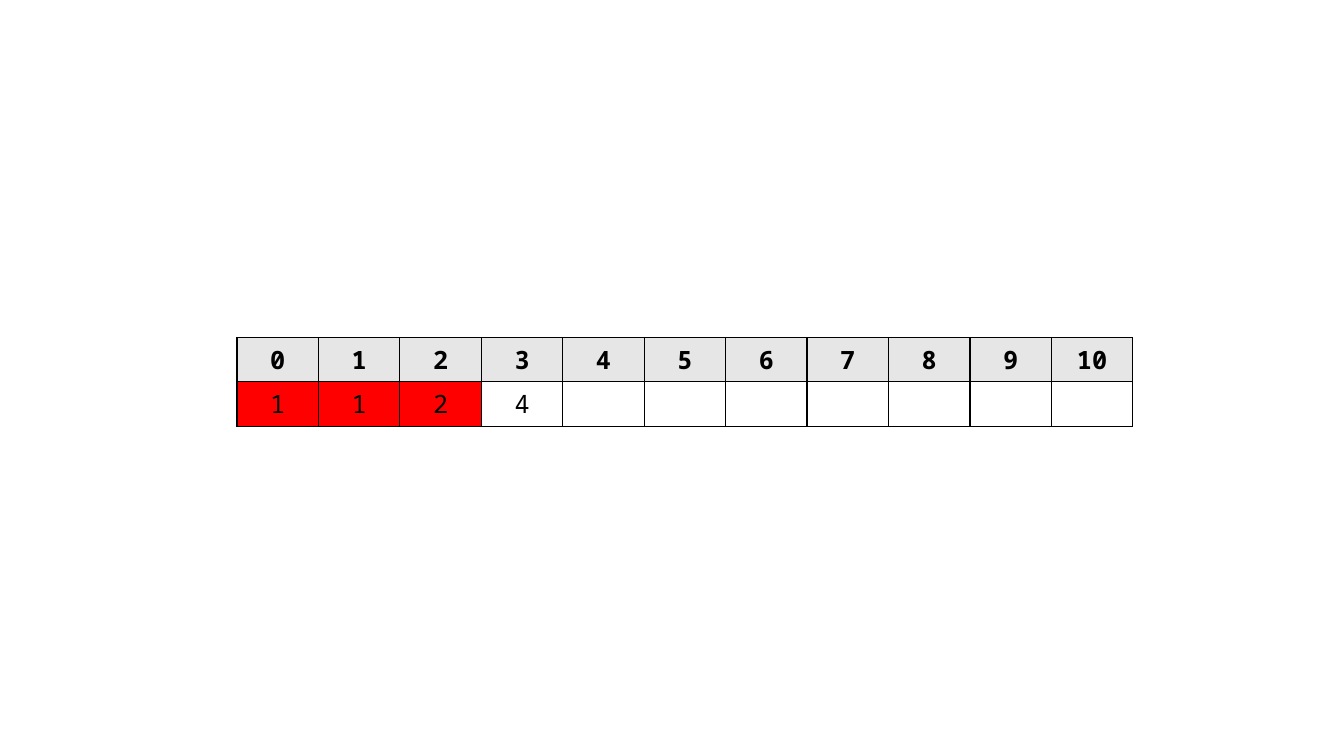
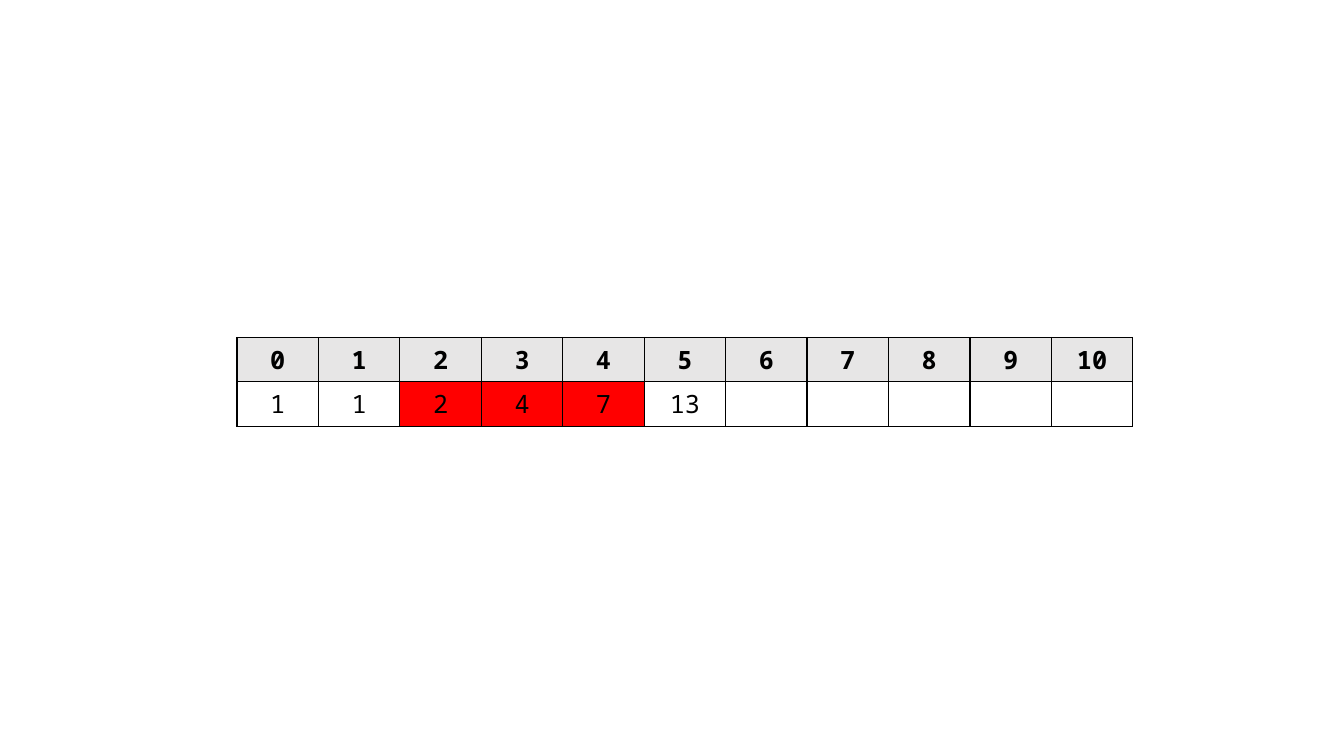
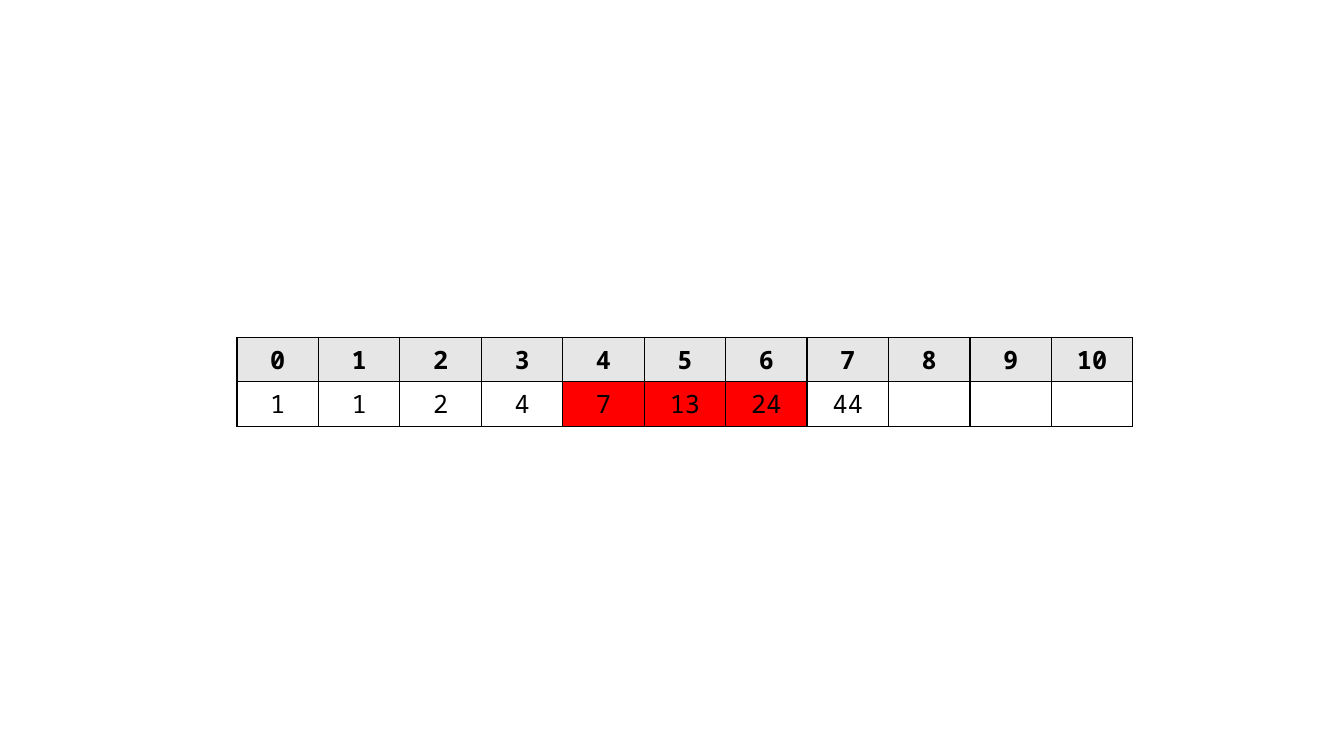
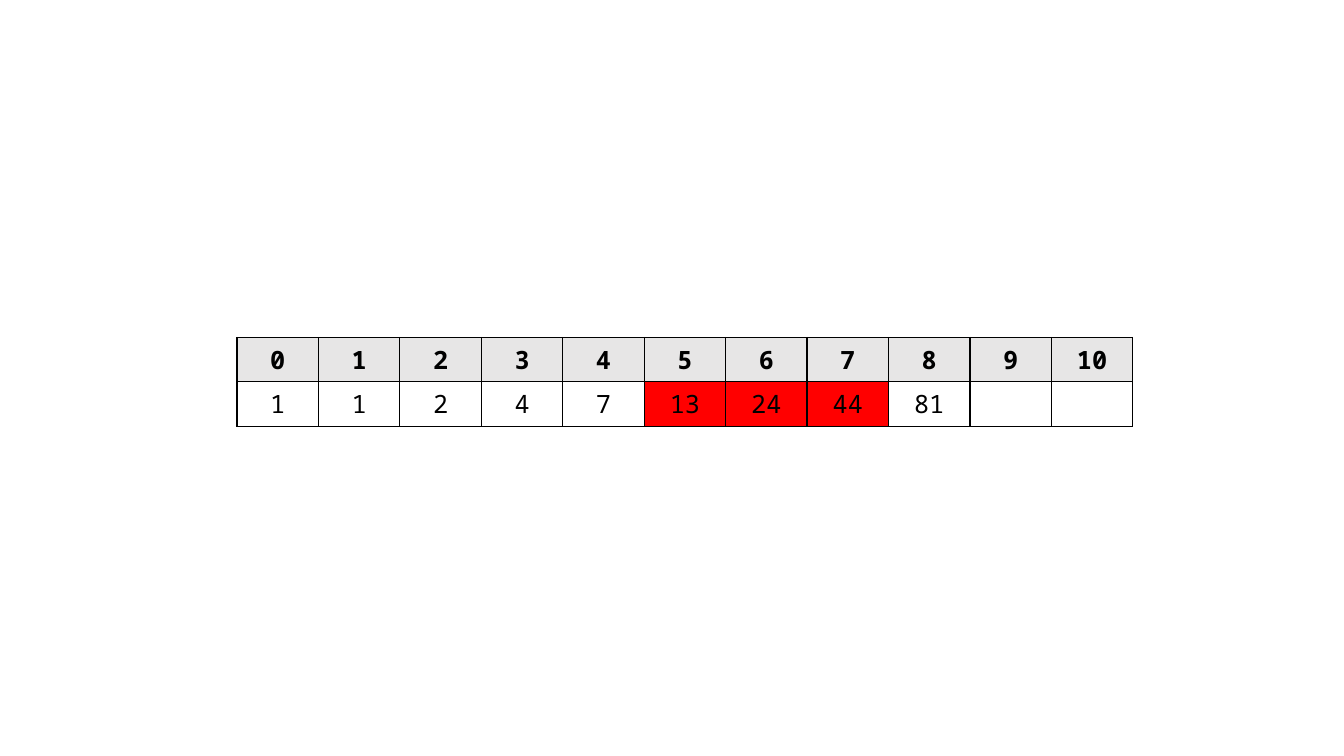
import pptx
import pptx.dml.color
import pptx.enum.text
import pptx.oxml
import pptx.oxml.ns
import pptx.util

Pt = pptx.util.Pt

COLORS = {
    "text": "000000",
    "border": "000000",
    "header": "E7E6E6",
    "window": "FF0000",
    "plain": "FFFFFF",
}
FONT = "Noto Sans Mono"
FONT_SIZE = 18
BORDER_WIDTH = 1
COLUMNS = 11
TABLE_BOX = (169.3, 241, 640, 63.4)
SEQUENCE = [1, 1, 2, 4, 7, 13, 24, 44, 81]
WINDOW_SIZE = 3
WINDOW_STARTS = [0, 2, 4, 5]


def rgb(name):
    return pptx.dml.color.RGBColor.from_string(COLORS[name])


def set_borders(cell):
    tc_pr = cell._tc.get_or_add_tcPr()
    for i, side in enumerate(("lnL", "lnR", "lnT", "lnB")):
        line = pptx.oxml.parse_xml(
            f'<a:{side} {pptx.oxml.ns.nsdecls("a")} w="{Pt(BORDER_WIDTH)}">'
            f'<a:solidFill><a:srgbClr val="{COLORS["border"]}"/></a:solidFill>'
            f'</a:{side}>'
        )
        tc_pr.insert(i, line)


def fill_cell(cell, text, fill, bold):
    cell.fill.solid()
    cell.fill.fore_color.rgb = rgb(fill)
    set_borders(cell)
    p = cell.text_frame.paragraphs[0]
    p.alignment = pptx.enum.text.PP_ALIGN.CENTER
    if text:
        r = p.add_run()
        r.text = text
        r.font.name = FONT
        r.font.size = Pt(FONT_SIZE)
        r.font.bold = bold
        r.font.color.rgb = rgb("text")


def add_sequence_table(s, box, start):
    left, top, width, height = box
    table = s.shapes.add_table(
        2, COLUMNS, Pt(left), Pt(top), Pt(width), Pt(height)
    ).table
    table.first_row = False
    table.horz_banding = False
    end = start + WINDOW_SIZE
    shown = SEQUENCE[:end + 1]
    for i in range(COLUMNS):
        value = str(shown[i]) if i < len(shown) else ""
        fill = "window" if start <= i < end else "plain"
        fill_cell(table.cell(0, i), str(i), "header", True)
        fill_cell(table.cell(1, i), value, fill, False)


def main():
    prs = pptx.Presentation()
    prs.slide_width = Pt(960)
    prs.slide_height = Pt(540)
    for start in WINDOW_STARTS:
        s = prs.slides.add_slide(prs.slide_layouts[6])
        add_sequence_table(s, TABLE_BOX, start)
    prs.save("out.pptx")


if __name__ == "__main__":
    main()
